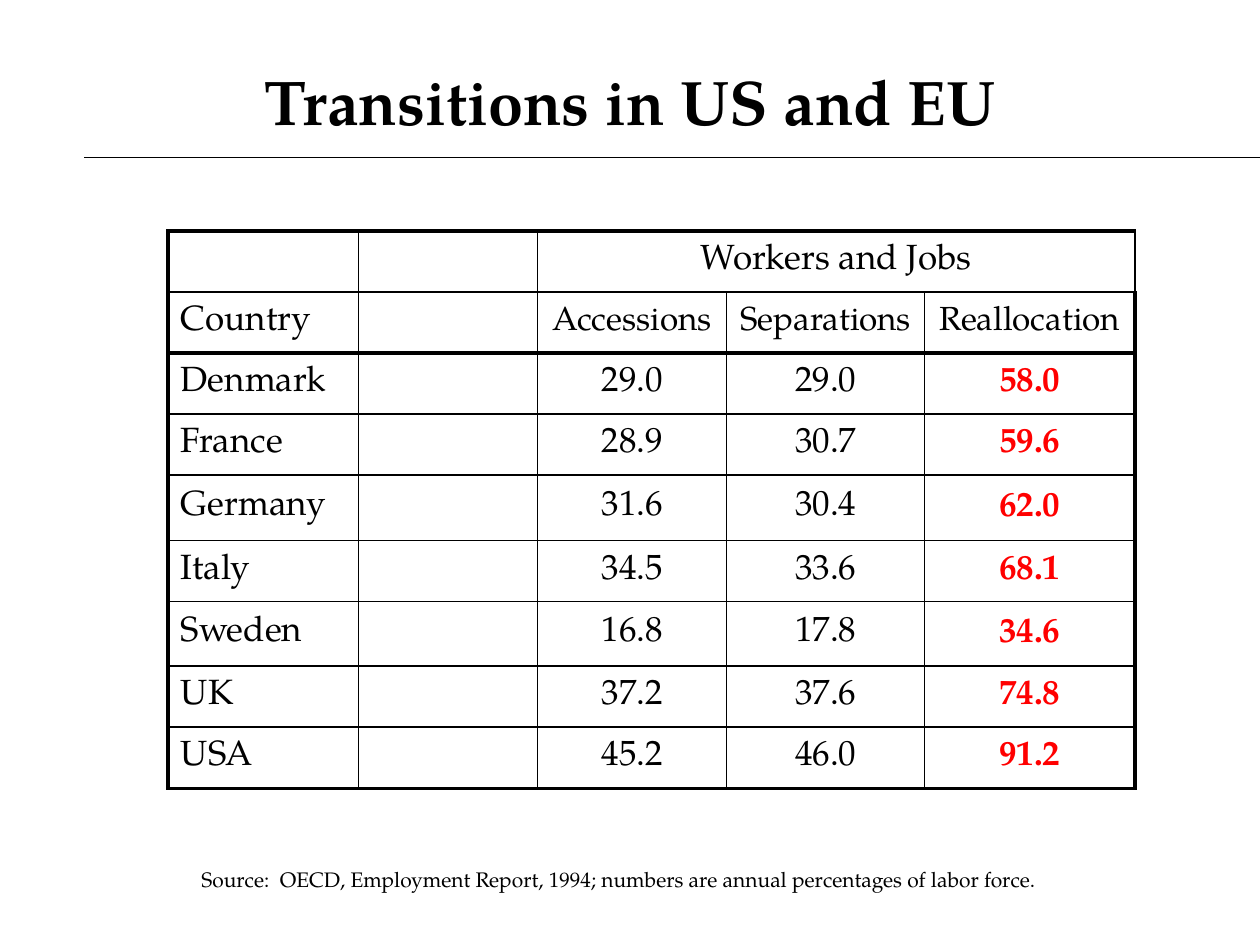
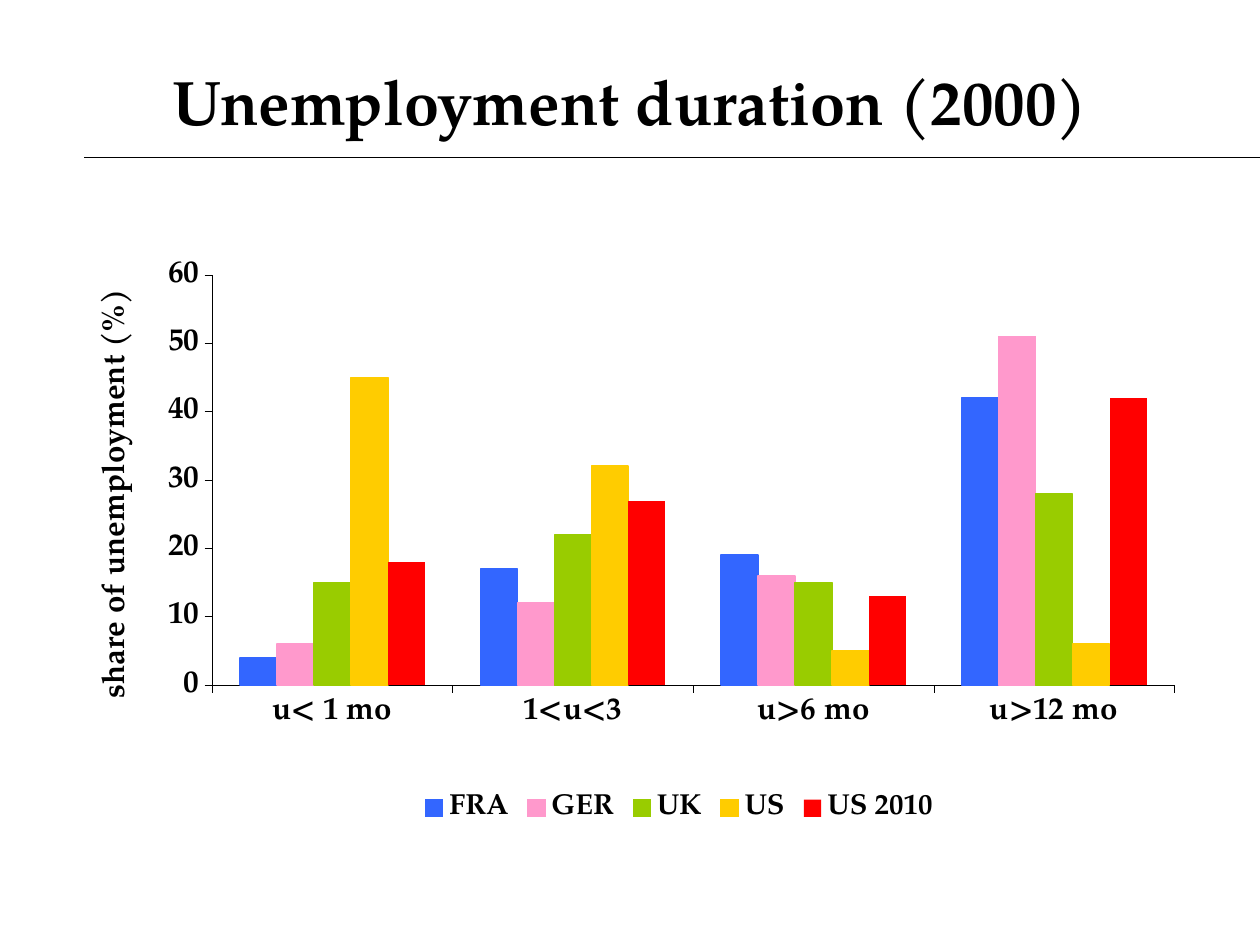
from pptx import Presentation
from pptx.chart.data import CategoryChartData
from pptx.dml.color import RGBColor
from pptx.enum.chart import XL_CHART_TYPE, XL_LEGEND_POSITION, XL_TICK_MARK
from pptx.enum.shapes import MSO_CONNECTOR
from pptx.enum.text import MSO_ANCHOR, MSO_AUTO_SIZE, PP_ALIGN
from pptx.oxml import parse_xml
from pptx.oxml.ns import nsdecls, qn
from pptx.util import Cm, Pt
from lxml.etree import SubElement

FONT = "TeX Gyre Pagella"
COLORS = {
    "ink": "000000",
    "highlight": "FF0000",
    "FRA": "3366FF",
    "GER": "FF99CC",
    "UK": "99CC00",
    "US": "FFCC00",
    "US 2010": "FF0000",
}
THIN, THICK = 1, 2.25

COLUMN_WIDTHS = [3.84, 3.61, 3.81, 3.99, 4.24]
ROW_HEIGHTS = [1.23, 1.23, 1.23, 1.23, 1.32, 1.23, 1.3, 1.23, 1.23]
TRANSITIONS = [
    ["", "", "Workers and Jobs", "", ""],
    ["Country", "", "Accessions", "Separations", "Reallocation"],
    ["Denmark", "", "29.0", "29.0", "58.0"],
    ["France", "", "28.9", "30.7", "59.6"],
    ["Germany", "", "31.6", "30.4", "62.0"],
    ["Italy", "", "34.5", "33.6", "68.1"],
    ["Sweden", "", "16.8", "17.8", "34.6"],
    ["UK", "", "37.2", "37.6", "74.8"],
    ["USA", "", "45.2", "46.0", "91.2"],
]
HEADER_ROWS = 2

DURATIONS = ["u< 1 mo", "1<u<3", "u>6 mo", "u>12 mo"]
SHARES = {
    "FRA": [4, 17, 19, 42],
    "GER": [6, 12, 16, 51],
    "UK": [15, 22, 15, 28],
    "US": [45, 32, 5, 6],
    "US 2010": [18, 27, 13, 42],
}


def rgb(name):
    return RGBColor.from_string(COLORS[name])


def style_font(font, size, bold=False, color="ink"):
    font.name = FONT
    font.size = Pt(size)
    font.bold = bold
    font.color.rgb = rgb(color)


def add_rule(slide, left):
    rule = slide.shapes.add_connector(
        MSO_CONNECTOR.STRAIGHT, left, Cm(3.17), Cm(25.4), Cm(3.17))
    rule.line.color.rgb = rgb("ink")
    rule.line.width = Pt(0.75)
    SubElement(rule.element.spPr, qn("a:effectLst"))


def add_titled_slide(deck, heading):
    slide = deck.slides.add_slide(deck.slide_layouts[5])
    add_rule(slide, Cm(1.7))
    title = slide.shapes.title
    title.left, title.top, title.width, title.height = Cm(1.27), Cm(0.85), Cm(22.86), Cm(2.33)
    frame = title.text_frame
    frame.text = heading
    frame.auto_size = MSO_AUTO_SIZE.NONE
    frame.vertical_anchor = MSO_ANCHOR.MIDDLE
    frame.paragraphs[0].alignment = PP_ALIGN.CENTER
    style_font(frame.paragraphs[0].runs[0].font, 36, bold=True)
    return slide


def set_borders(cell, widths):
    properties = cell._tc.get_or_add_tcPr()
    for position, (side, width) in enumerate(widths.items()):
        properties.insert(position, parse_xml(
            f'<a:ln{side} {nsdecls("a")} w="{Pt(width)}"><a:solidFill>'
            f'<a:srgbClr val="{COLORS["ink"]}"/></a:solidFill></a:ln{side}>'))


def fill_cell(cell, text, row, column):
    cell.fill.background()
    cell.vertical_anchor = MSO_ANCHOR.MIDDLE
    last_row, last_column = len(ROW_HEIGHTS) - 1, len(COLUMN_WIDTHS) - 1
    set_borders(cell, {
        "L": THICK if column == 0 else THIN,
        "R": THICK if column == last_column else THIN,
        "T": THICK if row in (0, HEADER_ROWS) else THIN,
        "B": THICK if row in (HEADER_ROWS - 1, last_row) else THIN,
    })
    if not text:
        return
    cell.text_frame.text = text
    paragraph = cell.text_frame.paragraphs[0]
    paragraph.alignment = PP_ALIGN.CENTER if column else PP_ALIGN.LEFT
    measure_name = row == HEADER_ROWS - 1 and column > 0
    total = row >= HEADER_ROWS and column == last_column
    style_font(paragraph.runs[0].font, 19 if measure_name else 20,
               bold=total, color="highlight" if total else "ink")


def add_transitions_table(slide):
    table = slide.shapes.add_table(
        len(ROW_HEIGHTS), len(COLUMN_WIDTHS), Cm(3.39), Cm(4.66),
        Cm(sum(COLUMN_WIDTHS)), Cm(sum(ROW_HEIGHTS))).table
    table.first_row = table.horz_banding = False
    for column, width in zip(table.columns, COLUMN_WIDTHS):
        column.width = Cm(width)
    for row, height in zip(table.rows, ROW_HEIGHTS):
        row.height = Cm(height)
    table.cell(0, 2).merge(table.cell(0, 4))
    for row, texts in enumerate(TRANSITIONS):
        for column, text in enumerate(texts):
            fill_cell(table.cell(row, column), text, row, column)


def add_source_note(slide, text):
    note = slide.shapes.add_textbox(Cm(3.81), Cm(17.35), Cm(19.25), Cm(0.76))
    frame = note.text_frame
    frame.word_wrap = True
    frame.text = text
    style_font(frame.paragraphs[0].runs[0].font, 12)


def place_in_chart(part, position, target="", **lengths):
    for old in part.findall(qn("c:layout")):
        part.remove(old)
    modes = "".join(f'<c:{key}Mode val="edge"/>' for key in ("x", "y"))
    sizes = "".join(f'<c:{key} val="{value}"/>' for key, value in lengths.items())
    part.insert(position, parse_xml(
        f'<c:layout {nsdecls("c")}><c:manualLayout>{target}{modes}{sizes}'
        '</c:manualLayout></c:layout>'))


def style_axis(axis):
    axis.has_major_gridlines = False
    axis.major_tick_mark = XL_TICK_MARK.OUTSIDE
    axis.minor_tick_mark = XL_TICK_MARK.NONE
    axis.format.line.color.rgb = rgb("ink")
    axis.format.line.width = Pt(0.25)
    style_font(axis.tick_labels.font, 17.9, bold=True)


def add_duration_chart(slide):
    data = CategoryChartData()
    data.categories = DURATIONS
    for country, shares in SHARES.items():
        data.add_series(country, shares)
    chart = slide.shapes.add_chart(
        XL_CHART_TYPE.COLUMN_CLUSTERED, Cm(1.42), Cm(4.6), Cm(22.48), Cm(12.27), data).chart
    chart.has_title = False
    style_font(chart.font, 17.9, bold=True)

    columns = chart.plots[0]
    columns.gap_width = 150
    columns.overlap = 0
    columns.vary_by_categories = False
    for series in columns.series:
        series.format.fill.solid()
        series.format.fill.fore_color.rgb = rgb(series.name)
        if series.name == "US 2010":
            series.format.line.fill.background()
        else:
            series.format.line.color.rgb = rgb(series.name)
            series.format.line.width = Pt(1)

    style_axis(chart.category_axis)
    share_axis = chart.value_axis
    style_axis(share_axis)
    share_axis.minimum_scale, share_axis.maximum_scale, share_axis.major_unit = 0, 60, 10
    share_title = share_axis.axis_title
    share_title.text_frame.text = "share of unemployment (%)"
    style_font(share_title.text_frame.paragraphs[0].runs[0].font, 17.9, bold=True)
    share_title.text_frame._txBody.bodyPr.set("rot", "-5400000")
    share_title.text_frame._txBody.bodyPr.set("vert", "horz")

    chart.has_legend = True
    chart.legend.position = XL_LEGEND_POSITION.BOTTOM
    chart.legend.include_in_layout = False
    style_font(chart.legend.font, 16.5, bold=True)

    place_in_chart(chart.element.xpath("c:chart/c:plotArea")[0], 0,
                   '<c:layoutTarget val="inner"/>', x=0.127, y=0.077, w=0.863, h=0.674)
    place_in_chart(chart.element.xpath("c:chart/c:legend")[0], 1, x=0.31, y=0.92)
    place_in_chart(chart.element.xpath(".//c:valAx/c:title")[0], 1, x=0.02, y=0.09)


def main():
    deck = Presentation()
    deck.slide_width, deck.slide_height = Cm(25.4), Cm(19.05)

    transitions = add_titled_slide(deck, "Transitions in US and EU")
    add_rule(transitions, Cm(3.17))
    add_transitions_table(transitions)
    add_source_note(transitions, "Source:  OECD, Employment Report, 1994; "
                                 "numbers are annual percentages of labor force.")

    duration = add_titled_slide(deck, "Unemployment duration (2000)")
    add_duration_chart(duration)

    deck.save("out.pptx")


if __name__ == "__main__":
    main()
